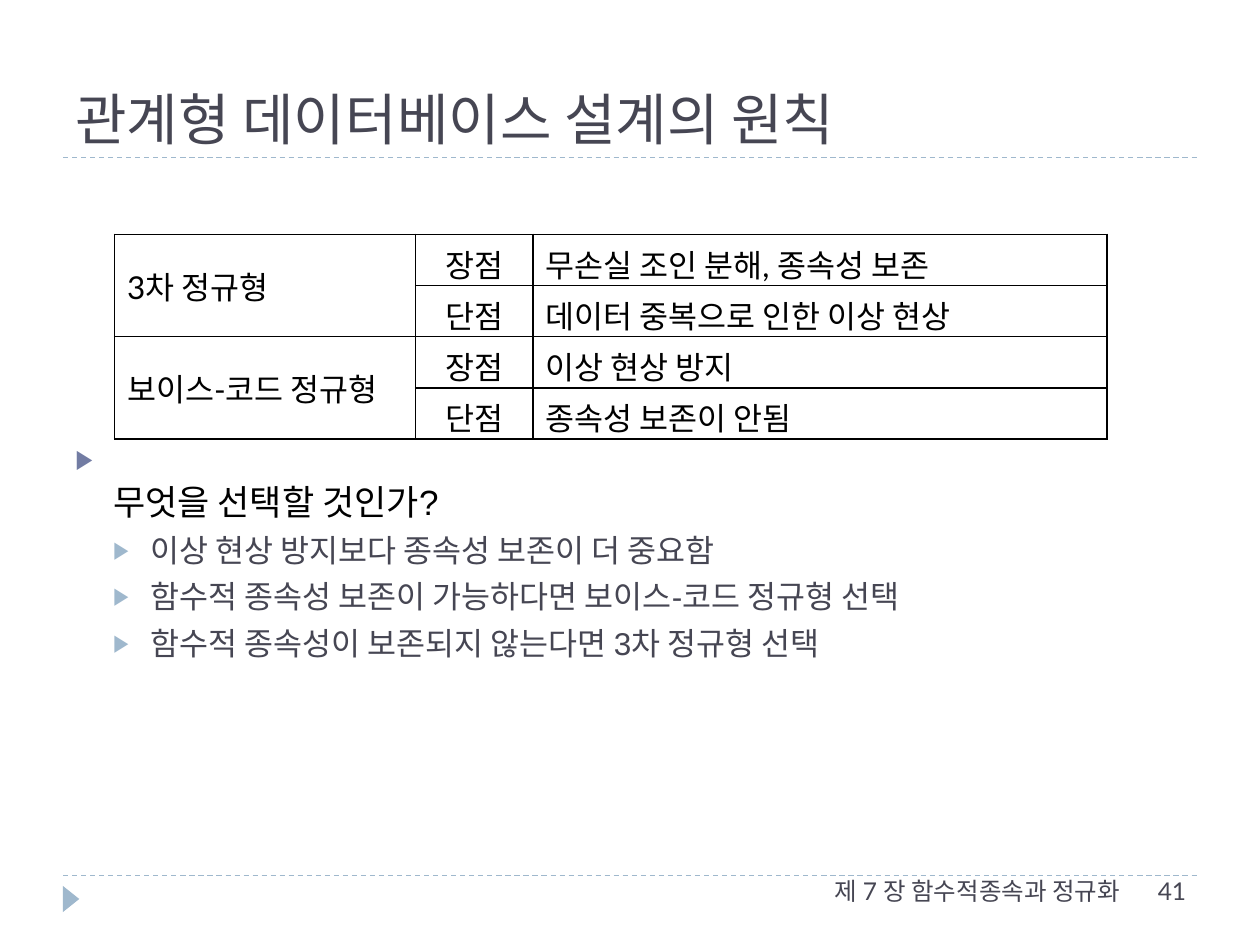
from lxml.etree import SubElement
from pptx import Presentation
from pptx.dml.color import RGBColor
from pptx.enum.dml import MSO_LINE_DASH_STYLE as Dash
from pptx.enum.shapes import MSO_CONNECTOR as Connector, MSO_SHAPE as Shape
from pptx.enum.text import MSO_ANCHOR as Anchor, PP_ALIGN as Align
from pptx.oxml.ns import qn
from pptx.util import Pt

INK = RGBColor(0x46, 0x46, 0x53)
BLACK = RGBColor(0, 0, 0)
ACCENT = RGBColor(0x72, 0x7C, 0xA3)
PALE = RGBColor(0x9F, 0xB8, 0xCD)

TITLE = {"size": Pt(32), "name": "Arial"}
QUESTION = {"size": Pt(20), "name": "Arial"}
ADVICE = {"size": Pt(18), "name": "Arial"}
CELL = {"size": Pt(18), "name": "Lato"}
FOOTER = {"size": Pt(14), "name": "Lato"}

FORMS = [
    ("3차 정규형", [("장점", "무손실 조인 분해, 종속성 보존"), ("단점", "데이터 중복으로 인한 이상 현상")]),
    ("보이스-코드 정규형", [("장점", "이상 현상 방지"), ("단점", "종속성 보존이 안됨")]),
]
CHOICES = [
    "이상 현상 방지보다 종속성 보존이 더 중요함",
    "함수적 종속성 보존이 가능하다면 보이스-코드 정규형 선택",
    "함수적 종속성이 보존되지 않는다면 3차 정규형 선택",
]


def write(para, text, style, color, align=Align.LEFT):
    """Put formatted text into a paragraph."""
    para.text = text
    para.alignment = align
    for span in para.runs:
        for key, value in style.items():
            setattr(span.font, key, value)
        span.font.color.rgb = color


def add_box(page, box, anchor=Anchor.TOP):
    """Add a wrapping text box and return its text frame."""
    frame = page.shapes.add_textbox(*map(Pt, box)).text_frame
    frame.word_wrap = True
    frame.vertical_anchor = anchor
    return frame


def add_rule(page, left, top, width):
    """Draw a dashed horizontal rule."""
    rule = page.shapes.add_connector(
        Connector.STRAIGHT, Pt(left), Pt(top), Pt(left + width), Pt(top))
    for key, value in {"width": Pt(0.75), "dash_style": Dash.DASH}.items():
        setattr(rule.line, key, value)
    rule.line.color.rgb = PALE
    SubElement(rule._element.spPr, qn("a:effectLst"))


def add_bullet(para, color, indent):
    """Give a paragraph a triangle bullet with a hanging indent."""
    props = para._p.get_or_add_pPr()
    props.set("marL", str(Pt(indent)))
    props.set("indent", str(-Pt(21.6)))
    tint = SubElement(props, qn("a:buClr"))
    SubElement(tint, qn("a:srgbClr"), val=str(color))
    SubElement(props, qn("a:buSzPct"), val="76000")
    SubElement(props, qn("a:buFont"), typeface="Arial")
    SubElement(props, qn("a:buChar"), char="▶")


def add_borders(cell):
    """Outline a cell with thin black lines and no fill."""
    props = cell._tc.get_or_add_tcPr()
    for side in ("a:lnL", "a:lnR", "a:lnT", "a:lnB"):
        line = SubElement(props, qn(side), w=str(Pt(1)))
        fill = SubElement(line, qn("a:solidFill"))
        SubElement(fill, qn("a:srgbClr"), val=str(BLACK))
    cell.fill.background()


def add_header(page, left, top, width, height):
    """Place the title above its rule."""
    frame = add_box(page, (left, top, width, height), Anchor.BOTTOM)
    write(frame.paragraphs[0], "관계형 데이터베이스 설계의 원칙", TITLE, INK)
    add_rule(page, left, top + height, width)


def add_comparison(page, left, top, width, height):
    """Place the table of strengths and weaknesses of the normal forms."""
    table = page.shapes.add_table(4, 3, *map(Pt, (left, top, width, height))).table
    for flag in ("first_row", "horz_banding"):
        setattr(table, flag, False)
    for column, share in zip(table.columns, (172, 67, 328)):
        column.width = Pt(width * share / 567)
    for index, (form, points) in enumerate(FORMS):
        first = 2 * index
        table.cell(first, 0).merge(table.cell(first + 1, 0))
        write(table.cell(first, 0).text_frame.paragraphs[0], form, CELL, BLACK)
        for row, (label, detail) in enumerate(points, first):
            for column, text, align in ((1, label, Align.CENTER), (2, detail, Align.LEFT)):
                para = table.cell(row, column).text_frame.paragraphs[0]
                write(para, text, CELL, BLACK, align)
    for cell in table.iter_cells():
        cell.vertical_anchor = Anchor.MIDDLE
        add_borders(cell)


def add_choices(page, left, top, width, height):
    """Place the question and the bulleted advice."""
    frame = add_box(page, (left, top, width, height))
    question = frame.paragraphs[0]
    write(question, "\v무엇을 선택할 것인가?", QUESTION, BLACK)
    question.line_spacing = 1.0
    line_break = question._p.find(qn("a:br"))
    SubElement(line_break, qn("a:rPr"), sz="2000")
    add_bullet(question, ACCENT, 21.6)
    for choice in CHOICES:
        para = frame.add_paragraph()
        write(para, choice, ADVICE, INK)
        para.level = 1
        para.space_before = Pt(5)
        add_bullet(para, PALE, 43.2)


def add_footer(page, left, top, width):
    """Place the footer rule, marker, chapter name and page number."""
    add_rule(page, left, top, width)
    marker = page.shapes.add_shape(
        Shape.ISOSCELES_TRIANGLE, Pt(left - 2.9), Pt(top + 8.6), Pt(15), Pt(9.4))
    marker.rotation = 90
    marker.shadow.inherit = False
    marker.fill.solid()
    marker.fill.fore_color.rgb = PALE
    marker.line.fill.background()
    chapter = add_box(page, (left + 337.7, top - 3.6, 273.6, 28.8))
    write(chapter.paragraphs[0], "제 7 장 함수적종속과 정규화", FOOTER, INK, Align.RIGHT)
    number = add_box(page, (left + 618.5, top - 3.6, 51, 28.8))
    write(number.paragraphs[0], "41", FOOTER, INK)


def main():
    """Build and save the deck."""
    deck = Presentation()
    deck.slide_width, deck.slide_height = Pt(720), Pt(540)
    page = deck.slides.add_slide(deck.slide_layouts[6])
    add_header(page, 36, 12, 648, 78)
    add_choices(page, 36, 246.8, 648, 237.8)
    add_comparison(page, 65.5, 134, 567, 116.8)
    add_footer(page, 36, 500.4, 648)
    deck.save("out.pptx")


main()
